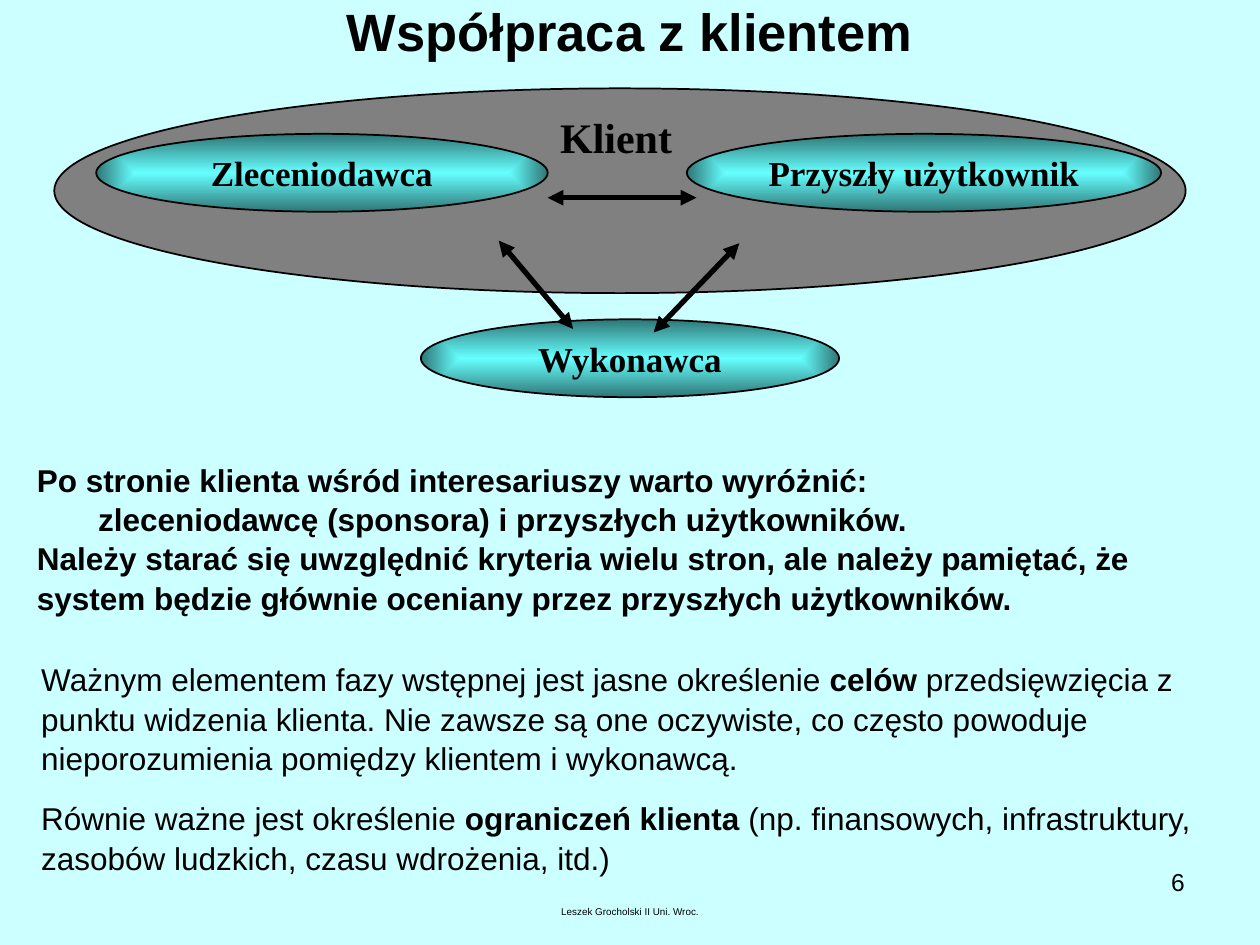
"""Builds the slide on working with the client."""
from lxml import etree
from pptx import Presentation
from pptx.dml.color import RGBColor
from pptx.enum.shapes import MSO_CONNECTOR, MSO_SHAPE
from pptx.enum.text import MSO_ANCHOR, PP_ALIGN
from pptx.oxml.ns import qn
from pptx.util import Pt

OVAL = MSO_SHAPE.OVAL
STRAIGHT = MSO_CONNECTOR.STRAIGHT
MIDDLE = MSO_ANCHOR.MIDDLE
LEFT, CENTER, RIGHT = PP_ALIGN.LEFT, PP_ALIGN.CENTER, PP_ALIGN.RIGHT
BLACK = RGBColor(0, 0, 0)
GREY = RGBColor(0x80, 0x80, 0x80)
AQUA = RGBColor(0x66, 0xFF, 0xFF)
TEAL = RGBColor(0x2F, 0x76, 0x76)
PALE = RGBColor(0xCC, 0xFF, 0xFF)
SANS, SERIF = "Arial", "Times New Roman"


def add_run(paragraph, text, size, font=SANS, bold=False):
    """Add one formatted run to a paragraph."""
    run = paragraph.add_run()
    run.text = text
    run.font.size = Pt(size)
    run.font.name = font
    run.font.bold = bold
    run.font.color.rgb = BLACK


def add_label(slide, box, text, size, align=LEFT, font=SANS, bold=False):
    """Add a one-line text box."""
    frame = slide.shapes.add_textbox(*map(Pt, box)).text_frame
    frame.word_wrap = True
    paragraph = frame.paragraphs[0]
    paragraph.alignment = align
    add_run(paragraph, text, size, font, bold)


def add_title(slide, box, text):
    """Place and fill the title placeholder."""
    title = slide.shapes.title
    title.left, title.top, title.width, title.height = map(Pt, box)
    frame = title.text_frame
    frame.vertical_anchor = MIDDLE
    frame.paragraphs[0].alignment = CENTER
    add_run(frame.paragraphs[0], text, 30, bold=True)


def add_oval(slide, box):
    """Add an ellipse with a thin black outline."""
    oval = slide.shapes.add_shape(OVAL, *map(Pt, box))
    oval.shadow.inherit = False
    oval.line.color.rgb = BLACK
    oval.line.width = Pt(1)
    return oval


def add_party(slide, box, name):
    """Add a named ellipse shaded from its centre to its edge."""
    party = add_oval(slide, box)
    party.fill.gradient()
    for stop, color, position in zip(party.fill.gradient_stops, (AQUA, TEAL), (0, 1)):
        stop.color.rgb = color
        stop.position = position
    gradient = party.fill._xPr.find(qn("a:gradFill"))
    gradient.remove(gradient.find(qn("a:lin")))
    shade = etree.SubElement(gradient, qn("a:path"), {"path": "rect"})
    etree.SubElement(shade, qn("a:fillToRect"), dict.fromkeys("ltrb", "50000"))
    frame = party.text_frame
    frame.word_wrap = False
    frame.vertical_anchor = MIDDLE
    frame.paragraphs[0].alignment = CENTER
    add_run(frame.paragraphs[0], name, 20, SERIF, True)


def add_arrow(slide, start, end):
    """Add a thick line with an arrowhead at both ends."""
    arrow = slide.shapes.add_connector(STRAIGHT, *map(Pt, start + end))
    arrow.line.color.rgb = BLACK
    arrow.line.width = Pt(3)
    for tag in ("a:headEnd", "a:tailEnd"):
        etree.SubElement(arrow.line._get_or_add_ln(), qn(tag), {"type": "triangle"})
    etree.SubElement(arrow._element.spPr, qn("a:effectLst"))


def add_cooperation(slide, box):
    """Draw the client's parties, the contractor and their links."""
    left, top, width, height = box
    client = add_oval(slide, (left, top, width, height))
    client.fill.solid()
    client.fill.fore_color.rgb = GREY
    parties = [
        ("Wykonawca", 209.5, 132, 239),
        ("Zleceniodawca", 24, 26, 258),
        ("Przyszły użytkownik", 361.5, 26, 271),
    ]
    for name, x, y, party_width in parties:
        add_party(slide, (left + x, top + y, party_width, 44.5), name)
    links = [
        ((282, 62.5), (367, 62.5)),
        ((254, 87), (296.5, 137.5)),
        ((342.5, 139.5), (391.5, 88.5)),
    ]
    for link in links:
        add_arrow(slide, *((left + x, top + y) for x, y in link))
    add_label(slide, (left + 282, top + 9.5, 92, 36), "Klient", 24, font=SERIF, bold=True)


def add_passage(slide, box, paragraphs):
    """Add paragraphs given as gap before, indent and (text, bold) runs."""
    frame = slide.shapes.add_textbox(*map(Pt, box)).text_frame
    frame.word_wrap = True
    for index, (gap, indent, runs) in enumerate(paragraphs):
        paragraph = frame.add_paragraph() if index else frame.paragraphs[0]
        paragraph.space_before = Pt(gap)
        paragraph.line_spacing = 1.04
        paragraph._p.get_or_add_pPr().set("marL", str(Pt(indent)))
        for text, bold in runs:
            add_run(paragraph, text, 18, bold=bold)


def add_footer(slide, box, author, number):
    """Add the author line and the slide number."""
    left, top, width, height = box
    add_label(slide, (left, top + 22, 228, 16), author, 5.6, CENTER)
    add_label(slide, (left + width - 168, top, 168, height), number, 14, RIGHT)


STAKEHOLDERS = [
    (0, 0, [("Po stronie klienta wśród interesariuszy warto wyróżnić:", True)]),
    (0, 35, [("zleceniodawcę (sponsora) i przyszłych użytkowników.", True)]),
    (0, 0, [("Należy starać się uwzględnić kryteria wielu stron, ale należy pamiętać, "
             "że system będzie głównie oceniany przez przyszłych użytkowników.", True)]),
]
GOALS = [
    (0, 0, [("Ważnym elementem fazy wstępnej jest jasne określenie ", False),
            ("celów", True),
            (" przedsięwzięcia z punktu widzenia klienta. Nie zawsze są one oczywiste, "
             "co często powoduje nieporozumienia pomiędzy klientem i wykonawcą.", False)]),
    (12, 0, [("Równie ważne jest określenie ", False),
             ("ograniczeń klienta", True),
             (" (np. finansowych, infrastruktury, zasobów ludzkich, "
              "czasu wdrożenia, itd.)", False)]),
]


def main():
    """Build and save the presentation."""
    deck = Presentation()
    deck.slide_width, deck.slide_height = Pt(720), Pt(540)
    slide = deck.slides.add_slide(deck.slide_layouts[5])
    slide.background.fill.solid()
    slide.background.fill.fore_color.rgb = PALE
    add_title(slide, (36, -4, 648, 42.5), "Współpraca z klientem")
    add_cooperation(slide, (31, 50.5, 646.5, 117))
    add_passage(slide, (14, 259, 698, 94), STAKEHOLDERS)
    add_passage(slide, (16.5, 373, 692, 127), GOALS)
    add_footer(slide, (246, 492, 438, 37), "Leszek Grocholski II Uni. Wroc.", "6")
    deck.save("out.pptx")


main()
